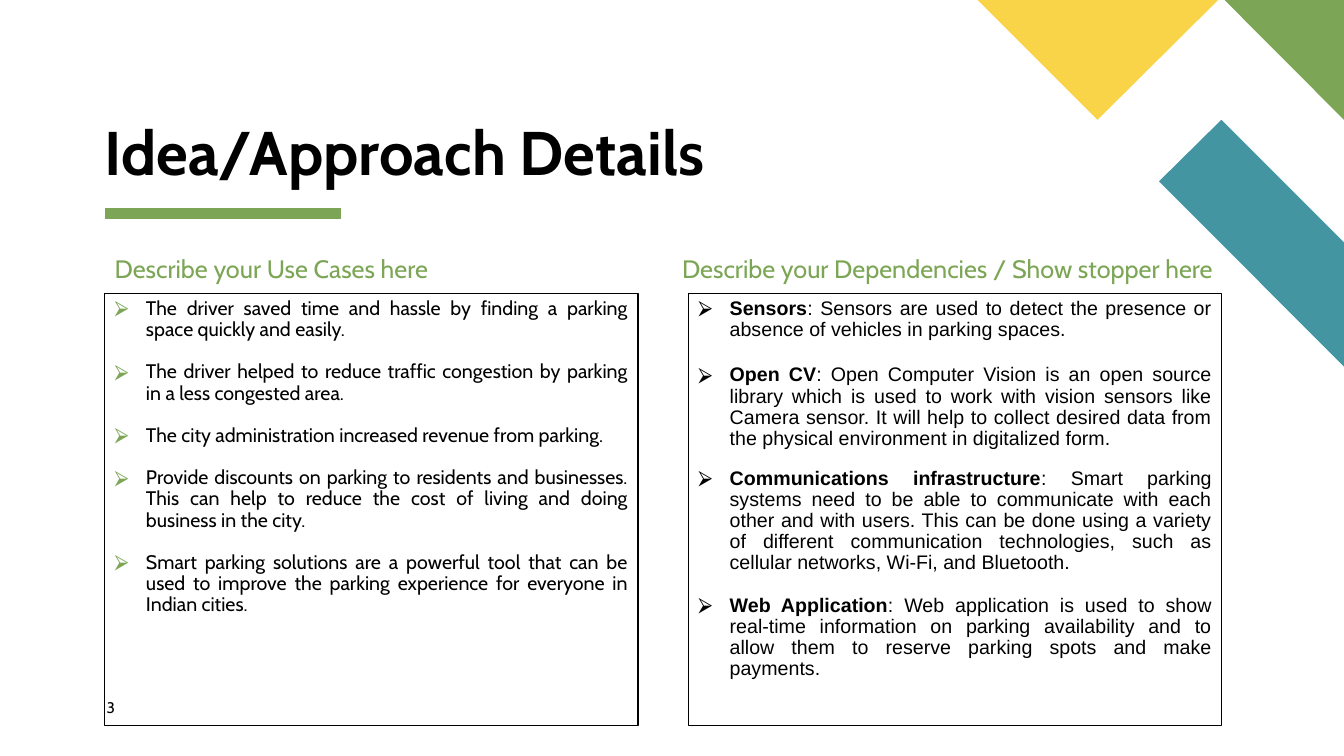
from dataclasses import dataclass

from lxml.etree import SubElement
from pptx import Presentation
from pptx.dml.color import RGBColor
from pptx.enum.shapes import MSO_CONNECTOR as Connector
from pptx.enum.text import MSO_ANCHOR as Anchor, PP_ALIGN as Align
from pptx.oxml.ns import qn
from pptx.slide import Slide
from pptx.text.text import _Paragraph as Paragraph
from pptx.util import Cm, Pt

COLORS = {
    "green": "7CA655",
    "teal": "4495A2",
    "yellow": "F9D448",
    "black": "000000",
}
SLIDE_WIDTH, SLIDE_HEIGHT = 33.87, 19.05
MARGIN = 2.64
PANEL_TOP, PANEL_WIDTH, PANEL_HEIGHT = 7.39, 13.44, 10.9
BULLET_INDENT = 0.79


@dataclass(frozen=True)
class Box:
    left: float
    top: float
    width: float
    height: float


@dataclass(frozen=True)
class Item:
    text: str
    term: str = ""
    gap_after: float = 15.1


@dataclass(frozen=True)
class Column:
    heading: str
    heading_box: Box
    panel_left: float
    font: str
    bullet_color: str
    items: tuple[Item, ...]


@dataclass(frozen=True)
class Corner:
    color: str
    points: tuple[tuple[float, float], ...]


CORNERS = (
    Corner("teal", ((SLIDE_WIDTH, 9.24), (SLIDE_WIDTH, 6.11), (30.78, 3.02), (29.21, 4.57))),
    Corner("green", ((SLIDE_WIDTH, 3.02), (SLIDE_WIDTH, 0), (30.86, 0))),
    Corner("yellow", ((24.64, 0), (27.66, 3.02), (30.7, 0))),
)

USE_CASES = Column(
    "Describe your Use Cases here", Box(MARGIN, 6.35, PANEL_WIDTH, 0.89),
    MARGIN, "Cabin", "green",
    (
        Item("The driver saved time and hassle by finding a parking space quickly and easily."),
        Item("The driver helped to reduce traffic congestion by parking in a less congested area."),
        Item("The city administration increased revenue from parking."),
        Item("Provide discounts on parking to residents and businesses. This can help to reduce "
             "the cost of living and doing business in the city."),
        Item("Smart parking solutions are a powerful tool that can be used to improve the "
             "parking experience for everyone in Indian cities.", gap_after=0),
    ),
)
DEPENDENCIES = Column(
    "Describe your Dependencies / Show stopper here", Box(16.94, 6.35, 14.27, 0.89),
    17.35, "Arial", "black",
    (
        Item(": Sensors are used to detect the presence or absence of vehicles in parking "
             "spaces.", "Sensors", 17.3),
        Item(": Open Computer Vision is an open source library which is used to work with "
             "vision sensors like Camera sensor. It will help to collect desired data from the "
             "physical environment in digitalized form.", "Open CV", 13.1),
        Item(": Smart parking systems need to be able to communicate with each other and with "
             "users. This can be done using a variety of different communication technologies, "
             "such as cellular networks, Wi-Fi, and Bluetooth.", "Communications infrastructure"),
        Item(": Web application is used to show real-time information on parking availability "
             "and to allow them to reserve parking spots and make payments.",
             "Web Application", 0),
    ),
)


def rgb(color: str) -> RGBColor:
    return RGBColor.from_string(COLORS[color])


def add_bullet(paragraph: Paragraph, color: str) -> None:
    properties = paragraph._p.get_or_add_pPr()
    properties.set("marL", str(Cm(BULLET_INDENT)))
    properties.set("indent", str(-Cm(BULLET_INDENT)))
    bullet_color = SubElement(properties, qn("a:buClr"))
    SubElement(bullet_color, qn("a:srgbClr"), val=COLORS[color])
    SubElement(properties, qn("a:buFont"), typeface="Arial")
    SubElement(properties, qn("a:buChar"), char="⮚")


def add_text(slide: Slide, box: Box, items: tuple[Item, ...], *, size: float,
             font: str = "Cabin", color: str = "black", bold: bool = False,
             line_spacing: float = 0.9, align: Align = Align.LEFT,
             anchor: Anchor = Anchor.TOP, padded: bool = True,
             bullet: str = "", outline: str = "") -> None:
    """Add a text box with one paragraph per item, each led by its bold term."""
    shape = slide.shapes.add_textbox(Cm(box.left), Cm(box.top), Cm(box.width), Cm(box.height))
    if outline:
        shape.line.color.rgb = rgb(outline)
        shape.line.width = Pt(0.75)
    frame = shape.text_frame
    frame.word_wrap = True
    frame.vertical_anchor = anchor
    frame.margin_left = frame.margin_right = Cm(0.25 if padded else 0)
    frame.margin_top = frame.margin_bottom = Cm(0.13 if padded else 0)
    for index, item in enumerate(items):
        paragraph = frame.add_paragraph() if index else frame.paragraphs[0]
        paragraph.alignment = align
        paragraph.line_spacing = line_spacing
        paragraph.space_after = Pt(item.gap_after)
        if bullet:
            add_bullet(paragraph, bullet)
        for text, is_bold in ((item.term, True), (item.text, bold)):
            if text:
                run = paragraph.add_run()
                run.text = text
                run.font.name = font
                run.font.size = Pt(size)
                run.font.bold = is_bold
                run.font.color.rgb = rgb(color)


def add_corner(slide: Slide, corner: Corner) -> None:
    start, *others = [(Cm(x), Cm(y)) for x, y in corner.points]
    builder = slide.shapes.build_freeform(*start)
    builder.add_line_segments(others, close=True)
    shape = builder.convert_to_shape()
    shape.shadow.inherit = False
    shape.fill.solid()
    shape.fill.fore_color.rgb = rgb(corner.color)
    shape.line.fill.background()


def add_title_rule(slide: Slide) -> None:
    rule = slide.shapes.add_connector(
        Connector.STRAIGHT, Cm(MARGIN), Cm(5.38), Cm(8.59), Cm(5.38))
    rule.line.color.rgb = rgb("green")
    rule.line.width = Pt(8)
    SubElement(rule._element.spPr, qn("a:effectLst"))


def add_column(slide: Slide, column: Column) -> None:
    add_text(slide, column.heading_box, (Item(column.heading, gap_after=0),),
             size=18, color="green")
    panel = Box(column.panel_left, PANEL_TOP, PANEL_WIDTH, PANEL_HEIGHT)
    add_text(slide, panel, column.items, size=14, font=column.font, align=Align.JUSTIFY,
             bullet=column.bullet_color, outline="black")


def main() -> None:
    presentation = Presentation()
    presentation.slide_width = Cm(SLIDE_WIDTH)
    presentation.slide_height = Cm(SLIDE_HEIGHT)
    slide = presentation.slides.add_slide(presentation.slide_layouts[6])
    add_title_rule(slide)
    for corner in CORNERS:
        add_corner(slide, corner)
    add_text(slide, Box(MARGIN, 3.05, 16.05, 1.7),
             (Item("Idea/Approach Details", gap_after=0),),
             size=44, bold=True, anchor=Anchor.BOTTOM, padded=False)
    for column in (USE_CASES, DEPENDENCIES):
        add_column(slide, column)
    add_text(slide, Box(2.69, 17.58, 1.45, 0.69), (Item("3", gap_after=0),),
             size=11, line_spacing=1, padded=False)
    presentation.save("out.pptx")


if __name__ == "__main__":
    main()
